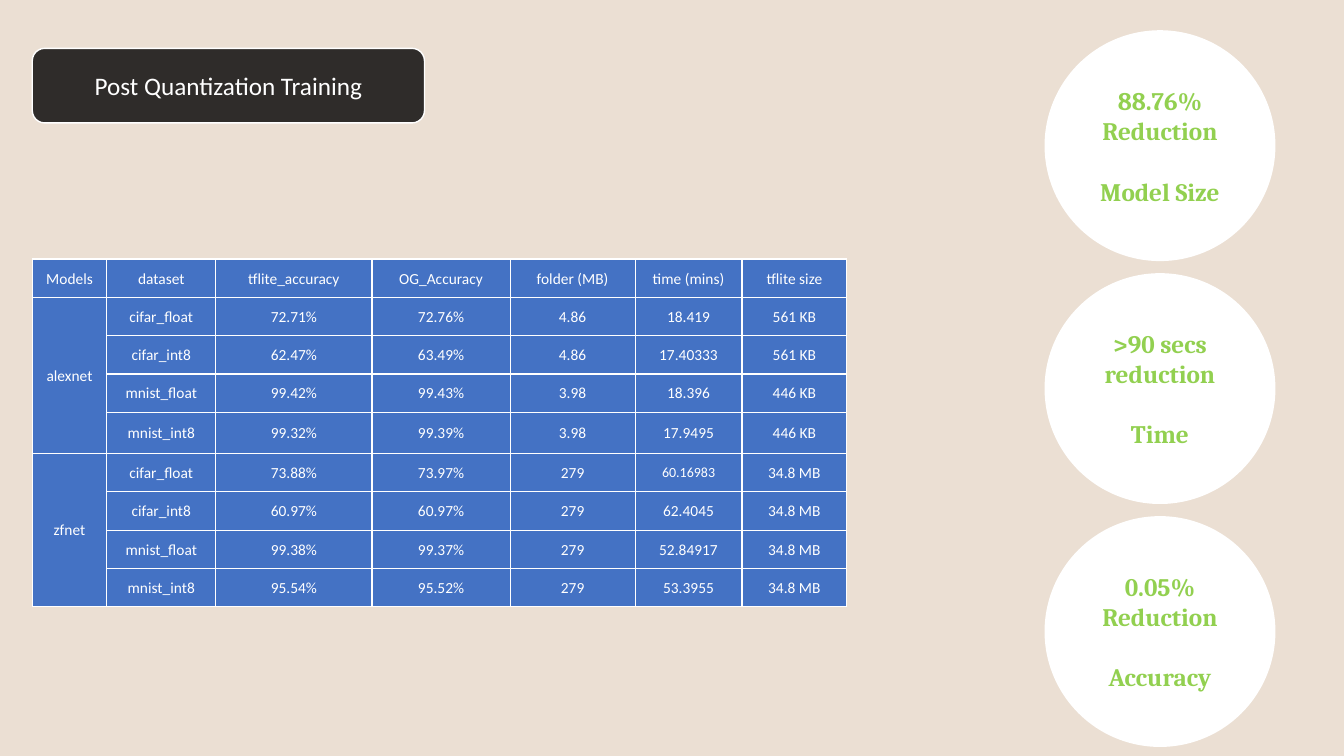
"""Build the post quantization training results slide."""
from lxml import etree
from pptx import Presentation
from pptx.dml.color import RGBColor
from pptx.enum.shapes import MSO_SHAPE as SHAPE
from pptx.enum.text import MSO_ANCHOR as ANCHOR, PP_ALIGN as ALIGN
from pptx.oxml import parse_xml
from pptx.oxml.ns import nsdecls, qn
from pptx.util import Inches, Pt

BEIGE = RGBColor(0xEB, 0xDF, 0xD3)
BLACK = RGBColor(0, 0, 0)
WHITE = RGBColor(0xFF, 0xFF, 0xFF)
BLUE = RGBColor(0x44, 0x72, 0xC4)
GREEN = RGBColor(0x92, 0xD0, 0x50)

HEADER = ["Models", "dataset", "tflite_accuracy", "OG_Accuracy", "folder (MB)", "time (mins)", "tflite size"]
RESULTS = [
    ["alexnet", "cifar_float", "72.71%", "72.76%", "4.86", "18.419", "561 KB"],
    ["", "cifar_int8", "62.47%", "63.49%", "4.86", "17.40333", "561 KB"],
    ["", "mnist_float", "99.42%", "99.43%", "3.98", "18.396", "446 KB"],
    ["", "mnist_int8", "99.32%", "99.39%", "3.98", "17.9495", "446 KB"],
    ["zfnet", "cifar_float", "73.88%", "73.97%", "279", "60.16983", "34.8 MB"],
    ["", "cifar_int8", "60.97%", "60.97%", "279", "62.4045", "34.8 MB"],
    ["", "mnist_float", "99.38%", "99.37%", "279", "52.84917", "34.8 MB"],
    ["", "mnist_int8", "95.54%", "95.52%", "279", "53.3955", "34.8 MB"],
]
COL_WIDTHS = [0.74, 1.08, 1.55, 1.37, 1.24, 1.06, 1.04]
ROW_HEIGHTS = [0.38] * 4 + [0.41] + [0.38] * 4
SMALL_CELL = (5, 5)
BADGES = [
    ["88.76%", "Reduction", "Model Size"],
    [">90 secs", "reduction", "Time"],
    ["0.05%", "Reduction", "Accuracy"],
]


def write(p, text, font, size, color, bold=False):
    p.text = text
    p.alignment = ALIGN.CENTER
    p.font.name = font
    p.font.size = Pt(size)
    p.font.color.rgb = color
    p.font.bold = bold


def add_filled(kind, left, top, width, height, color):
    sp = s.shapes.add_shape(kind, Inches(left), Inches(top), Inches(width), Inches(height))
    sp.shadow.inherit = False
    sp.fill.solid()
    sp.fill.fore_color.rgb = color
    sp.text_frame.vertical_anchor = ANCHOR.MIDDLE
    return sp


prs = Presentation()
prs.slide_width = Inches(13.33)
prs.slide_height = Inches(7.5)
s = prs.slides.add_slide(prs.slide_layouts[6])
s.background.fill.solid()
s.background.fill.fore_color.rgb = BEIGE

title = add_filled(SHAPE.ROUNDED_RECTANGLE, 0.32, 0.48, 3.89, 0.74, BLACK)
title.line.color.rgb = WHITE
title.line.width = Pt(1)
fill_color = title.fill._xPr.find(qn("a:solidFill"))[0]
etree.SubElement(fill_color, qn("a:alpha"), val="80000")
write(title.text_frame.paragraphs[0], "Post Quantization Training", "Calibri", 18, WHITE)

rows = [HEADER] + RESULTS
table = s.shapes.add_table(len(rows), len(HEADER), Inches(0.32), Inches(2.57),
                           Inches(sum(COL_WIDTHS)), Inches(sum(ROW_HEIGHTS))).table
for col, width in zip(table.columns, COL_WIDTHS):
    col.width = Inches(width)
for row, height in zip(table.rows, ROW_HEIGHTS):
    row.height = Inches(height)
for first in (1, 5):
    table.cell(first, 0).merge(table.cell(first + 3, 0))

for i, values in enumerate(rows):
    for j, value in enumerate(values):
        cell = table.cell(i, j)
        cell.margin_left = cell.margin_right = cell.margin_top = Inches(0.01)
        cell.margin_bottom = 0
        cell.vertical_anchor = ANCHOR.MIDDLE
        for side in ("lnL", "lnR", "lnT", "lnB"):
            cell._tc.get_or_add_tcPr().append(parse_xml(
                f'<a:{side} {nsdecls("a")} w="12700"><a:solidFill>'
                f'<a:srgbClr val="{WHITE}"/></a:solidFill></a:{side}>'))
        cell.fill.solid()
        cell.fill.fore_color.rgb = BLUE
        if value:
            size = 10 if (i, j) == SMALL_CELL else 11
            write(cell.text_frame.paragraphs[0], value, "Calibri", size, WHITE)

for i, lines in enumerate(BADGES):
    badge = add_filled(SHAPE.OVAL, 10.36, 0.3 + 2.41 * i, 2.29, 2.29, WHITE)
    badge.line.fill.background()
    tf = badge.text_frame
    for j, text in enumerate(lines):
        p = tf.paragraphs[0] if j == 0 else tf.add_paragraph()
        write(p, text, "Cambria", 18, GREEN, bold=True)
    p.space_before = Pt(21.5)

prs.save("out.pptx")
